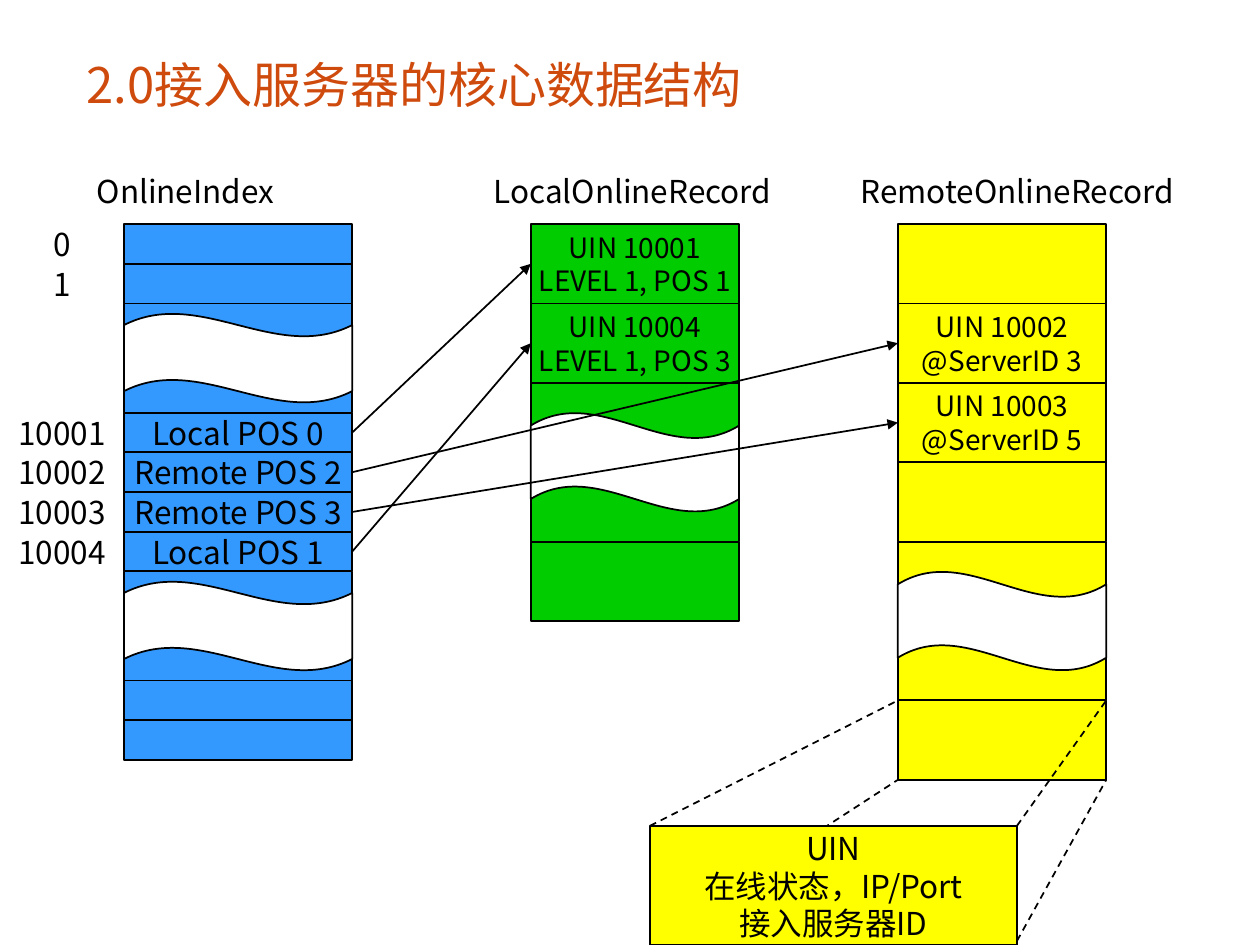
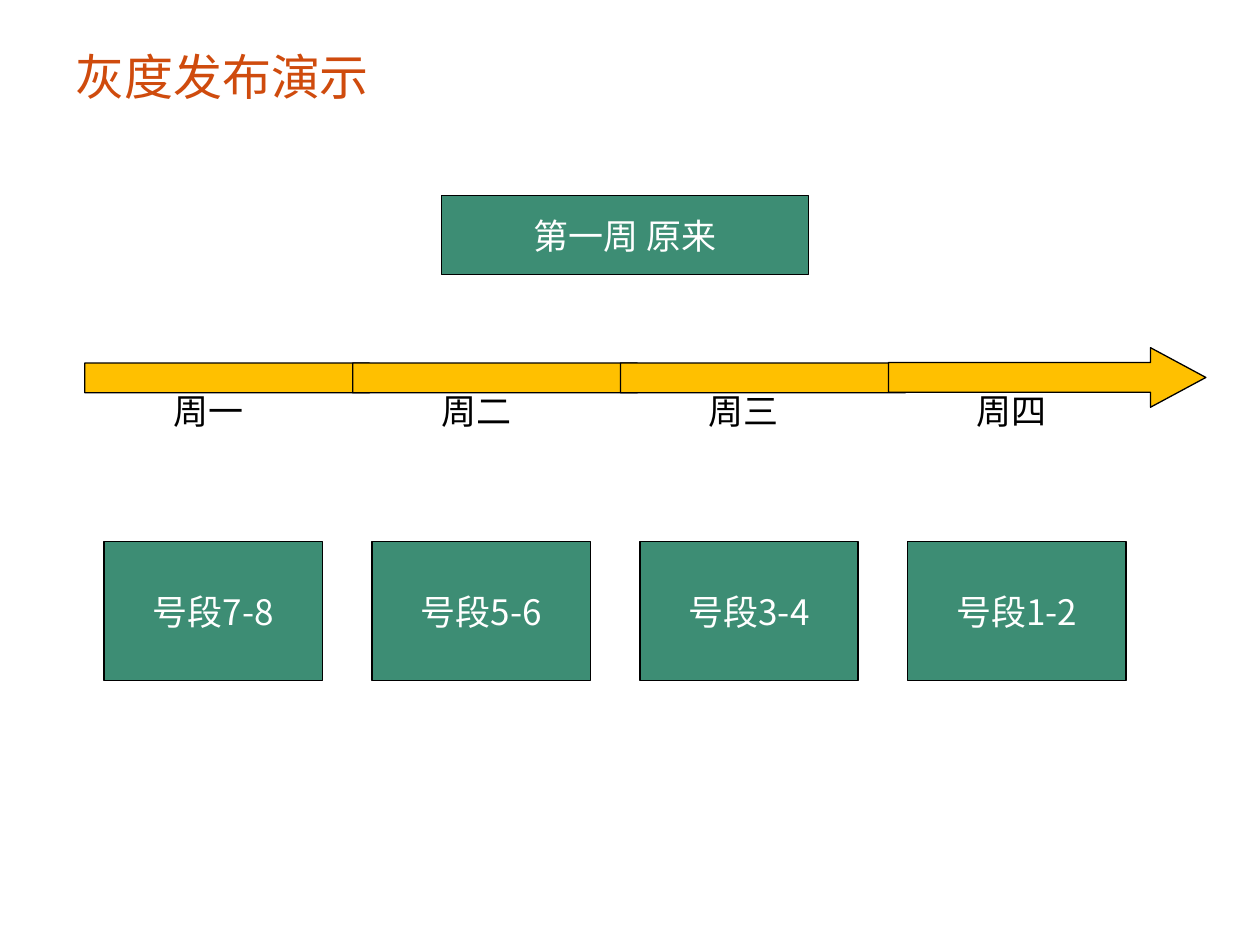
from dataclasses import dataclass

from lxml.etree import SubElement
from pptx import Presentation
from pptx.dml.color import RGBColor
from pptx.enum.dml import MSO_LINE
from pptx.enum.shapes import MSO_CONNECTOR, MSO_SHAPE
from pptx.enum.text import MSO_ANCHOR, PP_ALIGN
from pptx.oxml.ns import qn
from pptx.shapes.autoshape import Shape
from pptx.shapes.connector import Connector
from pptx.slide import Slide
from pptx.util import Cm, Pt

FONT = "Noto Sans CJK SC"
COLORS = {
    "title": "CF4B0D",
    "black": "000000",
    "white": "FFFFFF",
    "index": "3399FF",
    "local": "00CC00",
    "remote": "FFFF00",
    "stage": "3D8D74",
    "timeline": "FFC000",
}
MARGINS = {
    "margin_left": Cm(0.25),
    "margin_right": Cm(0.25),
    "margin_top": Cm(0.13),
    "margin_bottom": Cm(0.13),
}
RIGHT_SIDE, LEFT_SIDE = 3, 1
TABLE_TOP = 4.52


@dataclass(frozen=True)
class Box:
    """Position and size in centimetres."""
    left: float
    top: float
    width: float
    height: float


@dataclass(frozen=True)
class TextStyle:
    size: int
    color: str = "black"
    align: PP_ALIGN = PP_ALIGN.CENTER
    anchor: MSO_ANCHOR = MSO_ANCHOR.MIDDLE
    wrap: bool = False


@dataclass(frozen=True)
class Column:
    """A memory table drawn as stacked cells with torn gaps."""
    heading: str
    heading_left: float
    heading_width: float
    left: float
    width: float
    row_height: float
    fill: str
    text_size: int
    cells: tuple[str, ...]
    torn_rows: tuple[int, ...]
    gap: float
    wave_offset: float
    wave_height: float

    def row_top(self, row: int) -> float:
        gaps = sum(torn < row for torn in self.torn_rows)
        return TABLE_TOP + row * self.row_height + gaps * self.gap


@dataclass(frozen=True)
class Stage:
    day: str
    segment: str


TITLE = TextStyle(28, "title", PP_ALIGN.LEFT, wrap=True)
HEADING = TextStyle(18, align=PP_ALIGN.LEFT, anchor=MSO_ANCHOR.TOP, wrap=True)
ROW_LABEL = TextStyle(18)
STAGE_TEXT = TextStyle(20, "white")
DAY_LABEL = TextStyle(20, anchor=MSO_ANCHOR.TOP, wrap=True)

INDEX = Column(
    "OnlineIndex", 1.7, 4.2, 2.5, 4.6, 0.8, "index", 18,
    ("", "", "", "", "Local POS 0", "Remote POS 2", "Remote POS 3",
     "Local POS 1", "", "", "", ""),
    torn_rows=(2, 8), gap=0.6, wave_offset=0.2, wave_height=1.8)
LOCAL = Column(
    "LocalOnlineRecord", 9.7, 6.6, 10.7, 4.2, 1.6, "local", 16,
    ("UIN 10001\nLEVEL 1, POS 1", "UIN 10004\nLEVEL 1, POS 3", "", "", ""),
    torn_rows=(2,), gap=0, wave_offset=0.6, wave_height=2)
REMOTE = Column(
    "RemoteOnlineRecord", 17.1, 7.2, 18.1, 4.2, 1.6, "remote", 16,
    ("", "UIN 10002\n@ServerID 3", "UIN 10003\n@ServerID 5", "", "", "", ""),
    torn_rows=(4,), gap=0, wave_offset=0.6, wave_height=2)
INDEX_LABELS = {0: "0", 1: "1", 4: "10001", 5: "10002", 6: "10003", 7: "10004"}

STAGES = (
    Stage("周一", "号段7-8"),
    Stage("周二", "号段5-6"),
    Stage("周三", "号段3-4"),
    Stage("周四", "号段1-2"),
)
STAGE_STEP = 5.4


# Shared drawing functions
def rgb(name: str) -> RGBColor:
    return RGBColor.from_string(COLORS[name])


def lengths(box: Box) -> tuple[Cm, Cm, Cm, Cm]:
    return Cm(box.left), Cm(box.top), Cm(box.width), Cm(box.height)


def write_text(shape: Shape, text: str, style: TextStyle) -> None:
    frame = shape.text_frame
    frame_format = MARGINS | {"word_wrap": style.wrap,
                              "vertical_anchor": style.anchor}
    for name, value in frame_format.items():
        setattr(frame, name, value)
    frame.text = text
    for paragraph in frame.paragraphs:
        paragraph.alignment = style.align
        for run in paragraph.runs:
            for name, value in {"name": FONT, "size": Pt(style.size)}.items():
                setattr(run.font, name, value)
            run.font.color.rgb = rgb(style.color)
            # East Asian characters take their own typeface setting
            properties = run._r.get_or_add_rPr()
            SubElement(properties, qn("a:ea")).set("typeface", FONT)


def add_label(slide: Slide, box: Box, text: str, style: TextStyle) -> None:
    write_text(slide.shapes.add_textbox(*lengths(box)), text, style)


def add_block(slide: Slide, box: Box, fill: str, line_width: float = 1,
              kind: MSO_SHAPE = MSO_SHAPE.RECTANGLE,
              adjustments: tuple[float, ...] = ()) -> Shape:
    shape = slide.shapes.add_shape(kind, *lengths(box))
    shape.shadow.inherit = False
    shape.fill.solid()
    shape.fill.fore_color.rgb = rgb(fill)
    shape.line.color.rgb = rgb("black")
    shape.line.width = Pt(line_width)
    for position, value in enumerate(adjustments):
        shape.adjustments[position] = value
    return shape


def add_line(slide: Slide, start: tuple[float, float] = (0, 0),
             end: tuple[float, float] = (0, 0)) -> Connector:
    points = [Cm(value) for value in (*start, *end)]
    connector = slide.shapes.add_connector(MSO_CONNECTOR.STRAIGHT, *points)
    connector.line.color.rgb = rgb("black")
    connector.line.width = Pt(1)
    SubElement(connector._element.spPr, qn("a:effectLst"))
    return connector


def add_arrow(slide: Slide, source: Shape, target: Shape) -> None:
    connector = add_line(slide)
    connector.begin_connect(source, RIGHT_SIDE)
    connector.end_connect(target, LEFT_SIDE)
    outline = connector.line._get_or_add_ln()
    SubElement(outline, qn("a:tailEnd")).set("type", "triangle")


def add_column(slide: Slide, column: Column) -> list[Shape]:
    heading_box = Box(column.heading_left, 3.33, column.heading_width, 1.02)
    add_label(slide, heading_box, column.heading, HEADING)
    cells = []
    for row, text in enumerate(column.cells):
        cell_box = Box(column.left, column.row_top(row), column.width,
                       column.row_height)
        cell = add_block(slide, cell_box, column.fill)
        if text:
            write_text(cell, text, TextStyle(column.text_size))
        cells.append(cell)
    for row in column.torn_rows:
        wave_box = Box(column.left, column.row_top(row) + column.wave_offset,
                       column.width, column.wave_height)
        add_block(slide, wave_box, "white", kind=MSO_SHAPE.WAVE,
                  adjustments=(0.13, 0))
    return cells


# Slide 1: index and record tables
def build_data_structure(slide: Slide) -> None:
    add_label(slide, Box(1.5, 0.53, 16.7, 2.34), "2.0接入服务器的核心数据结构", TITLE)
    index, local, remote = [add_column(slide, column)
                            for column in (INDEX, LOCAL, REMOTE)]
    for row, text in INDEX_LABELS.items():
        add_label(slide, Box(0, INDEX.row_top(row), 2.5, INDEX.row_height),
                  text, ROW_LABEL)

    # Index entries point at their records
    for source, target in ((index[4], local[0]), (index[5], remote[1]),
                           (index[6], remote[2]), (index[7], local[1])):
        add_arrow(slide, source, target)

    # Enlarged view of the last remote record
    detail = Box(13.1, 16.65, 7.4, 2.4)
    record_top = REMOTE.row_top(6)
    record_bottom = record_top + REMOTE.row_height
    for detail_x, record_x in (
            (detail.left, REMOTE.left),
            (detail.left + detail.width, REMOTE.left + REMOTE.width)):
        for detail_y, record_y in (
                (detail.top, record_top),
                (detail.top + detail.height - 0.08, record_bottom)):
            connector = add_line(slide, (detail_x, detail_y),
                                 (record_x, record_y))
            connector.line.dash_style = MSO_LINE.DASH
    write_text(add_block(slide, detail, "remote"),
               "UIN\n在线状态，IP/Port\n接入服务器ID", TextStyle(18))


# Slide 2: staged release timeline
def build_release(slide: Slide) -> None:
    add_label(slide, Box(1.27, 0.53, 22.86, 2), "灰度发布演示", TITLE)
    week = add_block(slide, Box(8.9, 3.94, 7.4, 1.6), "stage", 0.75)
    write_text(week, "第一周 原来", STAGE_TEXT)
    for number, stage in enumerate(STAGES):
        shift = number * STAGE_STEP
        if number < len(STAGES) - 1:
            add_block(slide, Box(1.71 + shift, 7.32, 6.4, 0.6), "timeline",
                      0.75, MSO_SHAPE.PENTAGON, (1.12,))
        else:
            add_block(slide, Box(1.71 + shift, 7.01, 6.4, 1.2), "timeline",
                      0.75, MSO_SHAPE.RIGHT_ARROW, (0.5, 0.93))
        add_label(slide, Box(3.1 + shift, 7.72, 2.2, 1.12), stage.day,
                  DAY_LABEL)
        block = add_block(slide, Box(2.1 + shift, 10.92, 4.4, 2.8), "stage",
                          0.75)
        write_text(block, stage.segment, STAGE_TEXT)


def main() -> None:
    presentation = Presentation()
    presentation.slide_width = Cm(25.4)
    presentation.slide_height = Cm(19.05)
    blank_layout = presentation.slide_layouts[6]
    for build in (build_data_structure, build_release):
        build(presentation.slides.add_slide(blank_layout))
    presentation.save("out.pptx")


if __name__ == "__main__":
    main()
